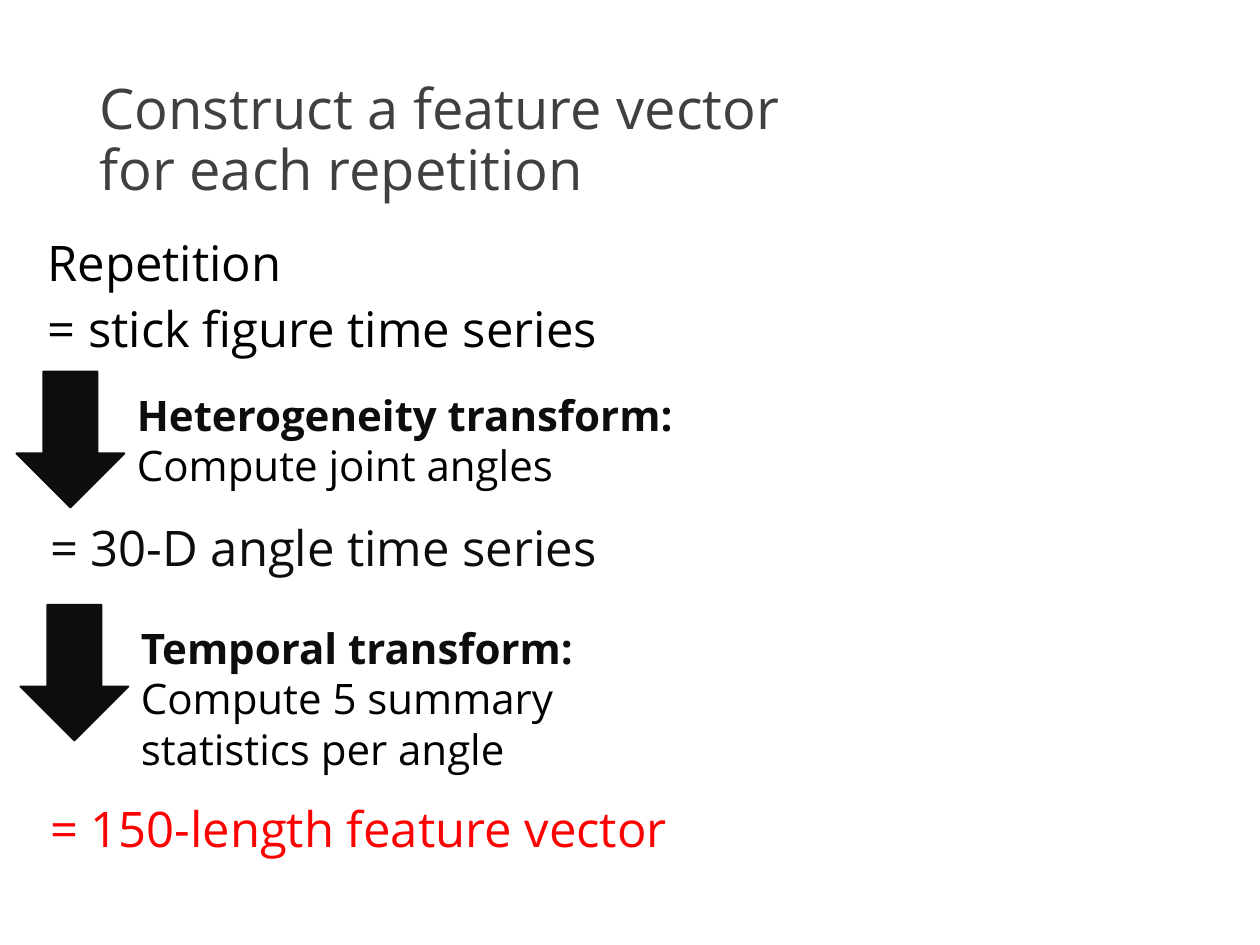
from pptx import Presentation
from pptx.dml.color import RGBColor
from pptx.enum import shapes, text
from pptx.util import Cm, Pt

FONT = "Open Sans"
INK, BLACK, RED, GREY = "0D0D0D", "000000", "FF0000", "404040"


def color(value):
    return RGBColor.from_string(value)


def write(tf, lines, size, **spacing):
    """Fill a text frame; each line is (text, colour, bold)."""
    tf.word_wrap = True
    for i, (words, hue, bold) in enumerate(lines):
        p = tf.add_paragraph() if i else tf.paragraphs[0]
        p.text = words
        p.alignment = text.PP_ALIGN.LEFT
        p.font.name, p.font.size, p.font.bold = FONT, Pt(size), bold
        p.font.color.rgb = color(hue)
        for name, value in spacing.items():
            setattr(p, name, value)


prs = Presentation()
prs.slide_width, prs.slide_height = Cm(25.4), Cm(19.05)
s = prs.slides.add_slide(prs.slide_layouts[5])

# Title
title = s.shapes.title
title.left, title.top, title.width, title.height = Cm(1.75), Cm(1.02), Cm(21.9), Cm(3.68)
title.text_frame.auto_size = text.MSO_AUTO_SIZE.NONE
title.text_frame.vertical_anchor = text.MSO_ANCHOR.MIDDLE
write(title.text_frame, [("Construct a feature vector\vfor each repetition", GREY, False)],
      32, line_spacing=0.9)

# Starting point
body = s.shapes.add_textbox(Cm(0.71), Cm(4.7), Cm(16.76), Cm(13.06))
write(body.text_frame,
      [("Repetition", BLACK, False), ("= stick figure time series", BLACK, False)],
      28, line_spacing=0.9, space_before=Pt(7.5))

# Result of each step
for words, top, hue in [("= 150-length feature vector", 15.98, RED),
                        ("= 30-D angle time series", 10.31, INK)]:
    sp = s.shapes.add_textbox(Cm(0.76), Cm(top), Cm(14.55), Cm(1.45))
    write(sp.text_frame, [(words, hue, False)], 28)

# Transforms: arrow with its description to the right
for left, top, height, heading, detail in [
        (0.33, 7.49, 2.31, "Heterogeneity transform:", "Compute joint angles"),
        (0.41, 12.19, 3.33, "Temporal transform:", "Compute 5 summary\vstatistics per angle")]:
    arrow = s.shapes.add_shape(shapes.MSO_SHAPE.DOWN_ARROW,
                               Cm(left), Cm(top), Cm(2.18), Cm(2.74))
    arrow.shadow.inherit = False
    arrow.fill.solid()
    arrow.fill.fore_color.rgb = color(INK)
    arrow.line.color.rgb = color(INK)
    arrow.line.width = Pt(1)
    sp = s.shapes.add_textbox(Cm(left + 2.18), Cm(top + 0.23), Cm(12.7), Cm(height))
    write(sp.text_frame, [(heading, INK, True), (detail, BLACK, False)], 24)

prs.save("out.pptx")
